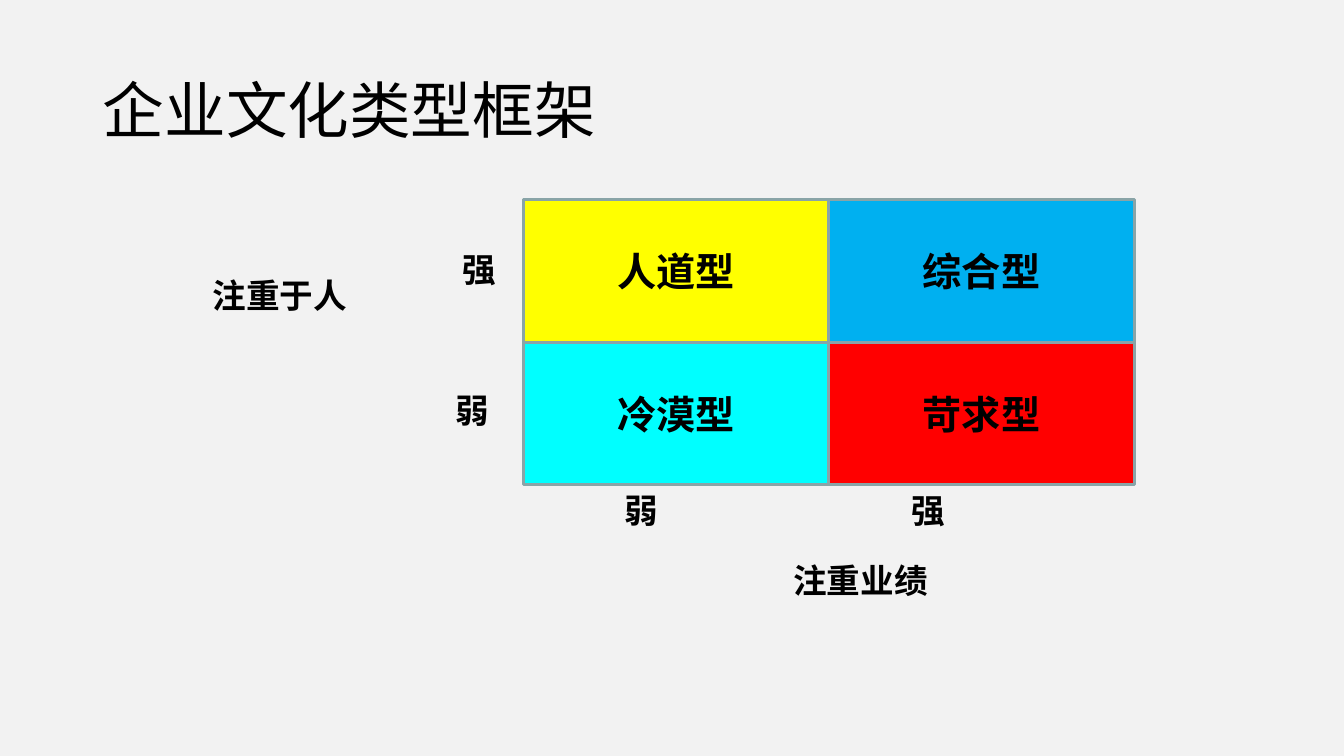
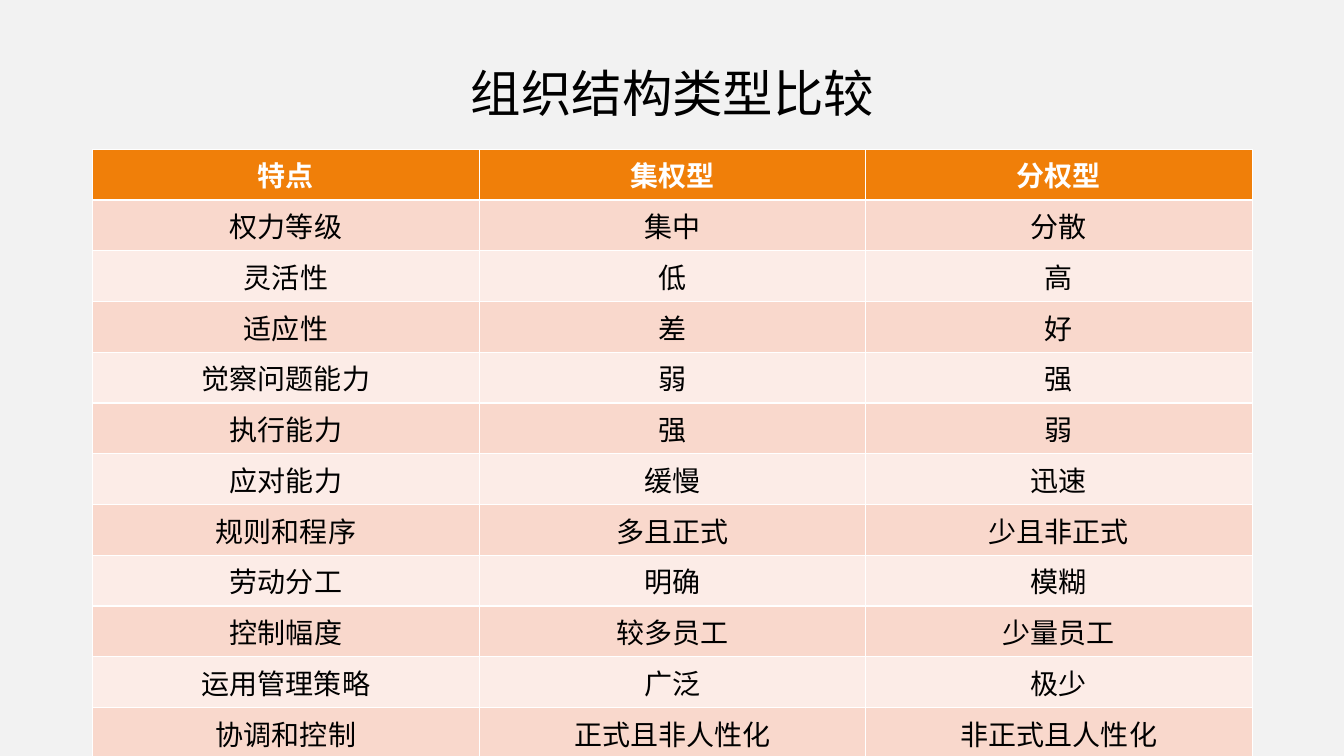
from pptx import Presentation, util as u
from pptx.dml.color import RGBColor
from pptx.enum import shapes, text
from pptx.oxml.ns import qn
from lxml import etree

BACKGROUND = RGBColor(0xF2, 0xF2, 0xF2)
BLACK = RGBColor(0, 0, 0)
WHITE = RGBColor(0xFF, 0xFF, 0xFF)
YELLOW = RGBColor(0xFF, 0xFF, 0)
BLUE = RGBColor(0, 0xB0, 0xF0)
CYAN = RGBColor(0, 0xFF, 0xFF)
RED = RGBColor(0xFF, 0, 0)
GRID_LINE = RGBColor(0x89, 0xA4, 0xA7)
HEADER = RGBColor(0xF0, 0x7F, 0x09)
BAND_DARK = RGBColor(0xF9, 0xD8, 0xCC)
BAND_LIGHT = RGBColor(0xFC, 0xEC, 0xE7)
CHINESE_FONT = "Noto Sans CJK SC"
LEFT, CENTER = text.PP_ALIGN.LEFT, text.PP_ALIGN.CENTER


def write(frame, words, size, font=CHINESE_FONT, color=BLACK, bold=False, align=LEFT, spacing=None):
    """Write one formatted line into a text frame."""
    paragraph = frame.paragraphs[0]
    paragraph.alignment = align
    if spacing:
        paragraph.line_spacing = spacing
    run = paragraph.add_run()
    run.text = words
    run.font.name = font
    run.font.size = u.Pt(size)
    run.font.bold = bold
    run.font.color.rgb = color
    east_asian = etree.SubElement(run.font._element, qn("a:ea"))
    east_asian.set("typeface", CHINESE_FONT)


def add_titled_slide(words, height, **text_format):
    """Add a slide with the shared title position and style."""
    slide = presentation.slides.add_slide(presentation.slide_layouts.get_by_name("Title Only"))
    title = slide.shapes.title
    title.left, title.top = u.Inches(0.92), u.Inches(0.4)
    title.width, title.height = u.Inches(11.5), u.Inches(height)
    title.text_frame.vertical_anchor = text.MSO_ANCHOR.MIDDLE
    title.text_frame.auto_size = text.MSO_AUTO_SIZE.NONE
    write(title.text_frame, words, spacing=0.9, **text_format)
    return slide


presentation = Presentation()
presentation.slide_width = u.Inches(13.33)
presentation.slide_height = u.Inches(7.5)
background = presentation.slide_master.background.fill
background.solid()
background.fore_color.rgb = BACKGROUND

# Culture type matrix
slide = add_titled_slide("企业文化类型框架", 1.45, size=44)
matrix = slide.shapes.add_group_shape().shapes
cell_width, cell_height = 3.03, 1.415
quadrants = [("人道型", YELLOW), ("综合型", BLUE), ("冷漠型", CYAN), ("苛求型", RED)]
for index, (words, color) in enumerate(quadrants):
    row, column = divmod(index, 2)
    quadrant = matrix.add_shape(
        shapes.MSO_SHAPE.RECTANGLE,
        u.Inches(5.19 + column * cell_width), u.Inches(1.98 + row * cell_height),
        u.Inches(cell_width), u.Inches(cell_height))
    quadrant.shadow.inherit = False
    quadrant.fill.solid()
    quadrant.fill.fore_color.rgb = color
    quadrant.line.color.rgb = GRID_LINE
    quadrant.line.width = u.Pt(2)
    quadrant.text_frame.vertical_anchor = text.MSO_ANCHOR.MIDDLE
    write(quadrant.text_frame, words, 28, font="Times New Roman", bold=True, align=CENTER)

# words, left, top, width, left inset
axis_labels = [
    ("注重于人", 2.01, 2.68, 1.67, 0.1),
    ("注重业绩", 7.77, 5.51, 1.67, 0.1),
    ("强", 4.49, 2.42, 0.85, 0.1),
    ("弱", 4.36, 3.82, 0.99, 0.16),
    ("弱", 6.1, 4.81, 1.67, 0.1),
    ("强", 8.83, 4.81, 2.12, 0.21),
]
for words, left, top, width, inset in axis_labels:
    label = matrix.add_textbox(u.Inches(left), u.Inches(top), u.Inches(width), u.Inches(0.5))
    label.text_frame.word_wrap = True
    label.text_frame.auto_size = text.MSO_AUTO_SIZE.SHAPE_TO_FIT_TEXT
    label.text_frame.margin_left = u.Inches(inset)
    write(label.text_frame, words, 24, bold=True)

# Structure comparison table
slide = add_titled_slide("组织结构类型比较", 1.11, size=36, font="Montserrat", align=CENTER)
comparison = [
    ("特点", "集权型", "分权型"),
    ("权力等级", "集中", "分散"),
    ("灵活性", "低", "高"),
    ("适应性", "差", "好"),
    ("觉察问题能力", "弱", "强"),
    ("执行能力", "强", "弱"),
    ("应对能力", "缓慢", "迅速"),
    ("规则和程序", "多且正式", "少且非正式"),
    ("劳动分工", "明确", "模糊"),
    ("控制幅度", "较多员工", "少量员工"),
    ("运用管理策略", "广泛", "极少"),
    ("协调和控制", "正式且非人性化", "非正式且人性化"),
]
table = slide.shapes.add_table(
    len(comparison), 3, u.Inches(0.92), u.Inches(1.48), u.Inches(11.5), u.Inches(5.39)).table
for row, entries in enumerate(comparison):
    is_header = row == 0
    band = HEADER if is_header else BAND_DARK if row % 2 else BAND_LIGHT
    for column, words in enumerate(entries):
        cell = table.cell(row, column)
        cell.fill.solid()
        cell.fill.fore_color.rgb = band
        write(cell.text_frame, words, 20, font="Arial", bold=is_header,
              color=WHITE if is_header else BLACK, align=CENTER)

presentation.save("out.pptx")
